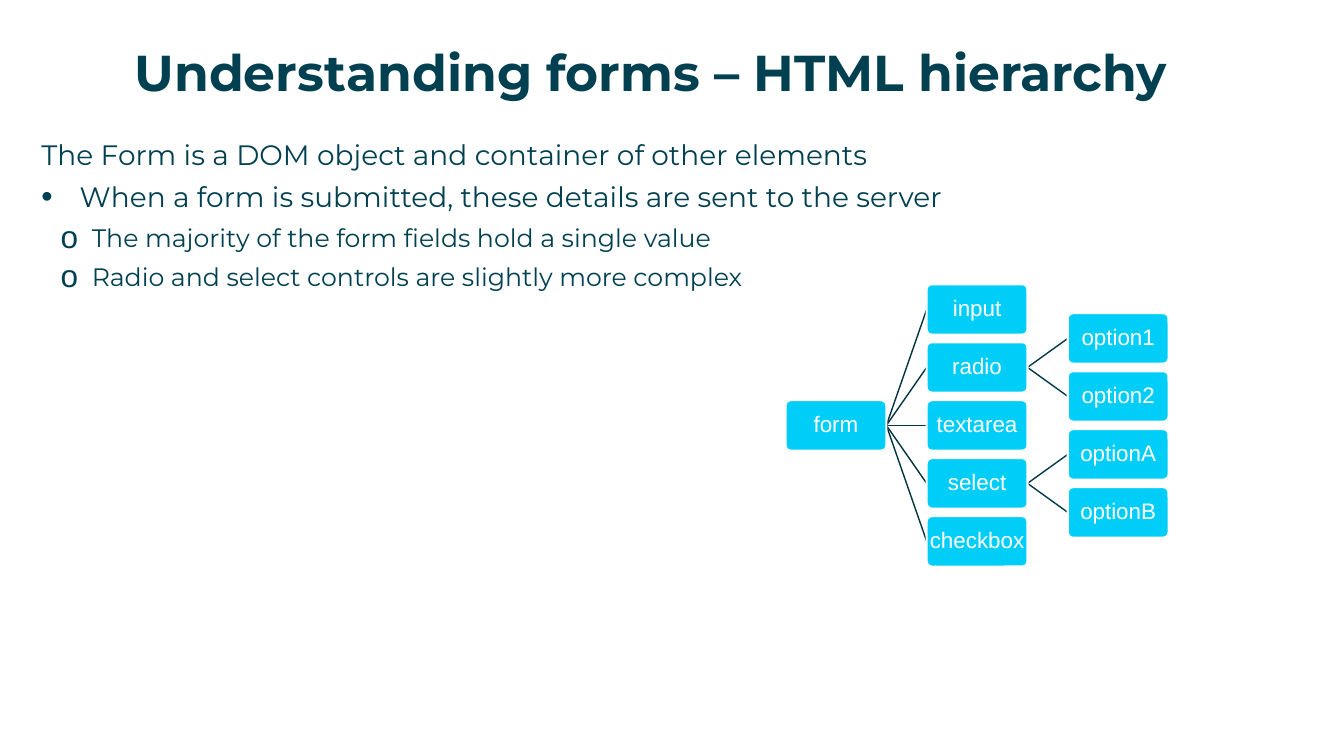
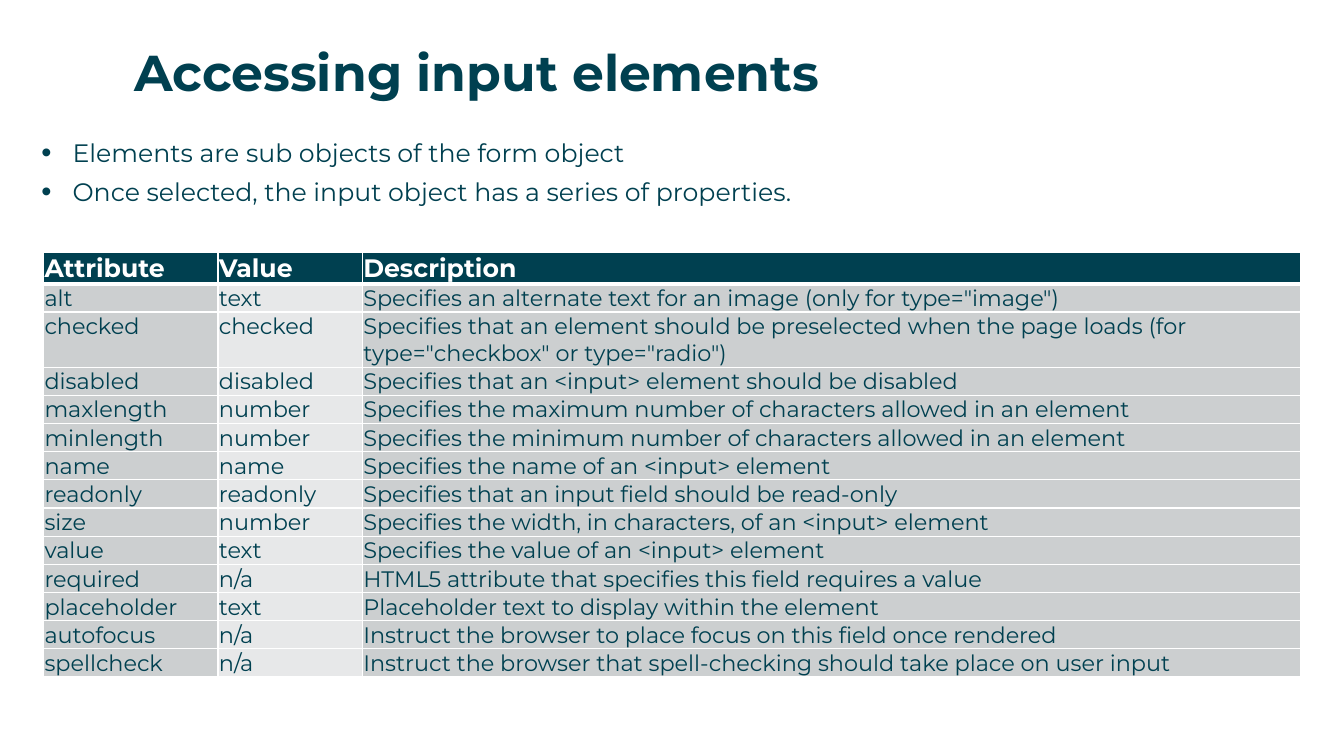
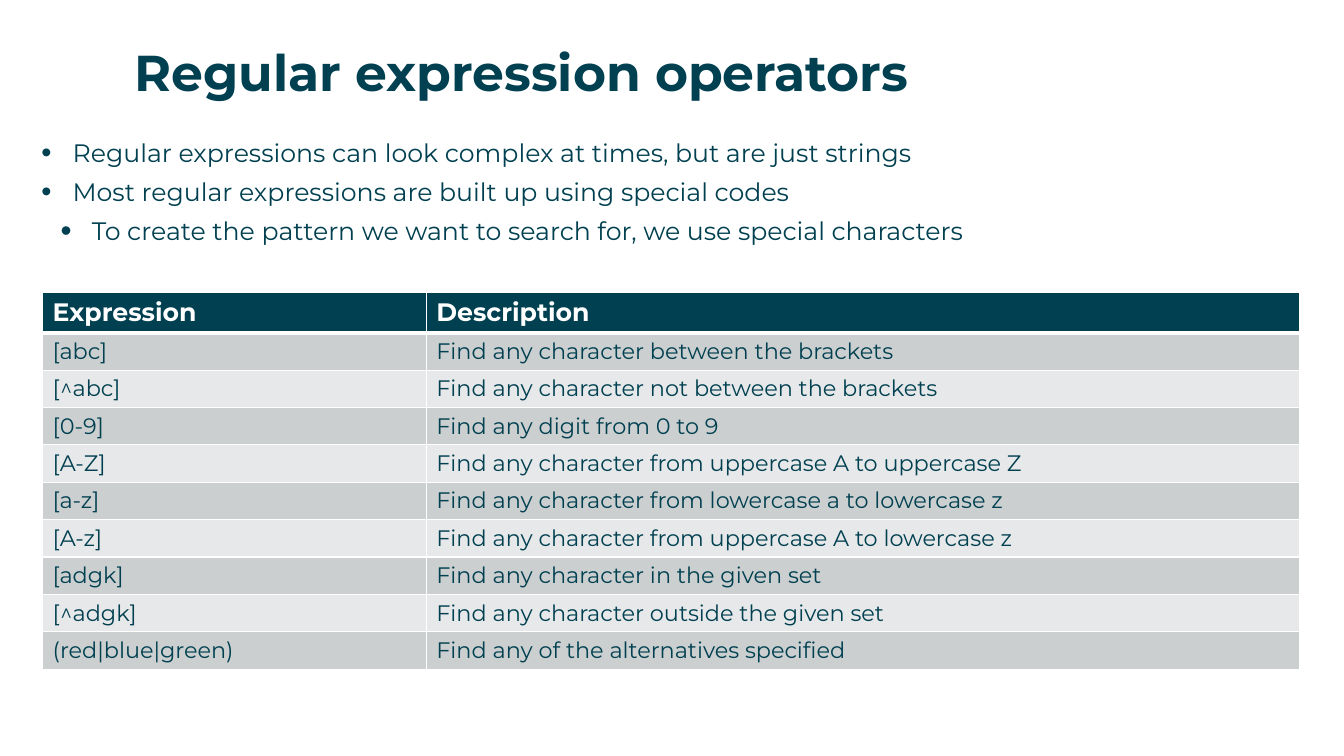
from lxml.etree import SubElement
from pptx import Presentation
from pptx.dml.color import RGBColor
from pptx.enum.shapes import MSO_CONNECTOR, MSO_SHAPE
from pptx.enum.text import MSO_ANCHOR, PP_ALIGN
from pptx.oxml.ns import qn
from pptx.util import Inches, Pt

WIDTH, HEIGHT = Inches(13.33), Inches(7.5)
HEADING_FONT, DIAGRAM_FONT = "Montserrat", "Arial"
INK, WHITE, CYAN = "004050", "FFFFFF", "00CEF9"
BRANCH, TWIG = "003340", "003A49"
DARK_BAND, LIGHT_BAND = "CCCFD0", "E7E8E9"

TREE_LEFT, TREE_MIDDLE = 58.45, 56.27
COLUMN_STEP, ROW_STEP = 10.5, 7.67
NODE_WIDTH, NODE_HEIGHT = 7.5, 6.67
NODES = {
    "form": (0, 0),
    "input": (1, -2),
    "radio": (1, -1),
    "textarea": (1, 0),
    "select": (1, 1),
    "checkbox": (1, 2),
    "option1": (2, -1.5),
    "option2": (2, -0.5),
    "optionA": (2, 0.5),
    "optionB": (2, 1.5),
}
CHILDREN = {
    "form": ("input", "radio", "textarea", "select", "checkbox"),
    "radio": ("option1", "option2"),
    "select": ("optionA", "optionB"),
}

PLAIN = (0, 0, None, 0)
WIDE_BULLET = (0.38, 0.38, "•", 115)
BULLET = (0.31, 0.31, "•", 115)
SUB_BULLET = (0.5, 0.31, "•", 125)
SUB_CIRCLE = (0.5, 0.31, "o", 125)

FORM_NOTES = [
    ("The Form is a DOM object and container of other elements", 20, PLAIN),
    ("When a form is submitted, these details are sent to the server", 20, WIDE_BULLET),
    ("The majority of the form fields hold a single value", 18, SUB_CIRCLE),
    ("Radio and select controls are slightly more complex", 18, SUB_CIRCLE),
]
INPUT_NOTES = [
    ("Elements are sub objects of the form object", 18, BULLET),
    ("Once selected, the input object has a series of properties.", 18, BULLET),
]
REGEX_NOTES = [
    ("Regular expressions can look complex at times, but are just strings", 18, BULLET),
    ("Most regular expressions are built up using special codes", 18, BULLET),
    ("To create the pattern we want to search for, we use special characters", 18, SUB_BULLET),
]
ATTRIBUTES = [
    ("Attribute", "Value", "Description"),
    ("alt", "text", 'Specifies an alternate text for an image (only for type="image")'),
    ("checked", "checked", "Specifies that an element should be preselected when the page loads "
     '(for type="checkbox" or type="radio")'),
    ("disabled", "disabled", "Specifies that an <input> element should be disabled"),
    ("maxlength", "number", "Specifies the maximum number of characters allowed in an element"),
    ("minlength", "number", "Specifies the minimum number of characters allowed in an element"),
    ("name", "name", "Specifies the name of an <input> element"),
    ("readonly", "readonly", "Specifies that an input field should be read-only"),
    ("size", "number", "Specifies the width, in characters, of an <input> element"),
    ("value", "text", "Specifies the value of an <input> element"),
    ("required", "n/a", "HTML5 attribute that specifies this field requires a value"),
    ("placeholder", "text", "Placeholder text to display within the element"),
    ("autofocus", "n/a", "Instruct the browser to place focus on this field once rendered"),
    ("spellcheck", "n/a", "Instruct the browser that spell-checking should take place on user input"),
]
EXPRESSIONS = [
    ("Expression", "Description"),
    ("[abc]", "Find any character between the brackets"),
    ("[^abc]", "Find any character not between the brackets"),
    ("[0-9]", "Find any digit from 0 to 9"),
    ("[A-Z]", "Find any character from uppercase A to uppercase Z"),
    ("[a-z]", "Find any character from lowercase a to lowercase z"),
    ("[A-z]", "Find any character from uppercase A to lowercase z"),
    ("[adgk]", "Find any character in the given set"),
    ("[^adgk]", "Find any character outside the given set"),
    ("(red|blue|green)", "Find any of the alternatives specified"),
]


def across(percent):
    """Return a share of the slide's width."""
    return round(WIDTH * percent / 100)


def down(percent):
    """Return a share of the slide's height."""
    return round(HEIGHT * percent / 100)


def paint(target, color):
    """Give a fill, or a line's fill, one solid colour."""
    target.solid()
    target.fore_color.rgb = RGBColor.from_string(color)


def add_span(para, text, size, color, bold=False, font=HEADING_FONT):
    """Append one styled run to a paragraph."""
    span = para.add_run()
    span.text = text
    span.font.size, span.font.name, span.font.bold = Pt(size), font, bold
    span.font.color.rgb = RGBColor.from_string(color)


def set_insets(frame, size):
    """Set the same inner margin on all four sides."""
    frame.margin_left = frame.margin_right = Inches(size)
    frame.margin_top = frame.margin_bottom = Inches(size)


def add_frame(page, left, top, width, height):
    """Add a wrapping text box without margins and return its frame."""
    box = page.shapes.add_textbox(across(left), down(top), across(width), down(height))
    box.text_frame.word_wrap = True
    set_insets(box.text_frame, 0)
    return box.text_frame


def set_bullet(para, indent, hanging, mark, size):
    """Give a paragraph its hanging indent and bullet mark."""
    props = para._p.get_or_add_pPr()
    props.set("marL", str(Inches(indent)))
    props.set("indent", str(-Inches(hanging)))
    if mark:
        SubElement(props, qn("a:buSzPct"), val=str(size * 1000))
        SubElement(props, qn("a:buFont"), typeface=DIAGRAM_FONT)
        SubElement(props, qn("a:buChar"), char=mark)


def add_page(deck, title, notes):
    """Add a blank slide with its title and the notes below it."""
    page = deck.slides.add_slide(deck.slide_layouts[6])
    heading = add_frame(page, 10, 5.47, 86.95, 7.6)
    add_span(heading.paragraphs[0], title, 36, INK, bold=True)
    body = add_frame(page, 3.08, 18.13, 93.75, 76.4)
    for index, (text, size, bullet) in enumerate(notes):
        para = body.add_paragraph() if index else body.paragraphs[0]
        para.space_after = Pt(6.5)
        set_bullet(para, *bullet)
        add_span(para, text, size, INK)
    return page


def node_place(name):
    """Return the left edge and vertical middle of a tree node."""
    column, row = NODES[name]
    return TREE_LEFT + column * COLUMN_STEP, TREE_MIDDLE + row * ROW_STEP


def add_node(page, name):
    """Draw one labelled node of the tree."""
    left, middle = node_place(name)
    box = page.shapes.add_shape(
        MSO_SHAPE.ROUNDED_RECTANGLE, across(left), down(middle - NODE_HEIGHT / 2),
        across(NODE_WIDTH), down(NODE_HEIGHT))
    box.adjustments[0] = 0.1
    box.shadow.inherit = False
    paint(box.fill, CYAN)
    paint(box.line.fill, WHITE)
    box.line.width = Pt(1.5)
    frame = box.text_frame
    frame.word_wrap = False
    frame.vertical_anchor = MSO_ANCHOR.MIDDLE
    set_insets(frame, 0.02)
    para = frame.paragraphs[0]
    para.alignment, para.line_spacing = PP_ALIGN.CENTER, 0.9
    add_span(para, name, 16, WHITE, font=DIAGRAM_FONT)


def add_branch(page, parent, child):
    """Draw the line from a parent node to its child."""
    left, start = node_place(parent)
    right, end = node_place(child)
    line = page.shapes.add_connector(
        MSO_CONNECTOR.STRAIGHT, across(left + NODE_WIDTH), down(start), across(right), down(end))
    paint(line.line.fill, BRANCH if parent == "form" else TWIG)
    line.line.width = Pt(1)
    SubElement(line._element.spPr, qn("a:effectLst"))


def add_tree(page):
    """Draw the branches and nodes of the form hierarchy."""
    for parent, children in CHILDREN.items():
        for child in children:
            add_branch(page, parent, child)
    for name in NODES:
        add_node(page, name)


def set_borders(cell, row):
    """Draw white cell edges, with a thick rule under the header."""
    props = cell._tc.get_or_add_tcPr()
    thick = {(0, "B"), (1, "T")}
    for position, side in enumerate("LRTB"):
        edge = props.makeelement(qn(f"a:ln{side}"), {"w": str(Pt(3 if (row, side) in thick else 1))})
        fill = SubElement(edge, qn("a:solidFill"))
        SubElement(fill, qn("a:srgbClr"), val=WHITE)
        props.insert(position, edge)


def add_grid(page, left, top, widths, heights, rows, band, tight=False):
    """Add a table whose body fills come from band(row, column)."""
    table = page.shapes.add_table(
        len(rows), len(widths), across(left), down(top),
        across(sum(widths)), down(sum(heights))).table
    for column, width in zip(table.columns, widths):
        column.width = across(width)
    for row, height in zip(table.rows, heights):
        row.height = down(height)
    for r, texts in enumerate(rows):
        for c, text in enumerate(texts):
            cell = table.cell(r, c)
            header = r == 0
            paint(cell.fill, INK if header else band(r, c))
            set_borders(cell, r)
            if tight:
                set_insets(cell, 0.01)
                cell.margin_bottom = 0
                cell.vertical_anchor = MSO_ANCHOR.BOTTOM if header else MSO_ANCHOR.TOP
            add_span(cell.text_frame.paragraphs[0], text, 18 if header else 16,
                     WHITE if header else INK, bold=header)


def column_band(row, column):
    """Alternate the fill by column."""
    return LIGHT_BAND if column % 2 else DARK_BAND


def row_band(row, column):
    """Alternate the fill by row."""
    return DARK_BAND if row % 2 else LIGHT_BAND


def main():
    """Build the three slides and save the deck."""
    deck = Presentation()
    deck.slide_width, deck.slide_height = WIDTH, HEIGHT
    add_tree(add_page(deck, "Understanding forms – HTML hierarchy", FORM_NOTES))
    page = add_page(deck, "Accessing input elements", INPUT_NOTES)
    add_grid(page, 3.24, 33.4, (12.98, 10.74, 69.8), [4.1, 3.73, 7.3] + [3.73] * 11,
             ATTRIBUTES, column_band, tight=True)
    page = add_page(deck, "Regular expression operators", REGEX_NOTES)
    add_grid(page, 3.17, 38.67, (28.55, 65), [5.3] + [4.95] * 9, EXPRESSIONS, row_band)
    deck.save("out.pptx")


if __name__ == "__main__":
    main()
